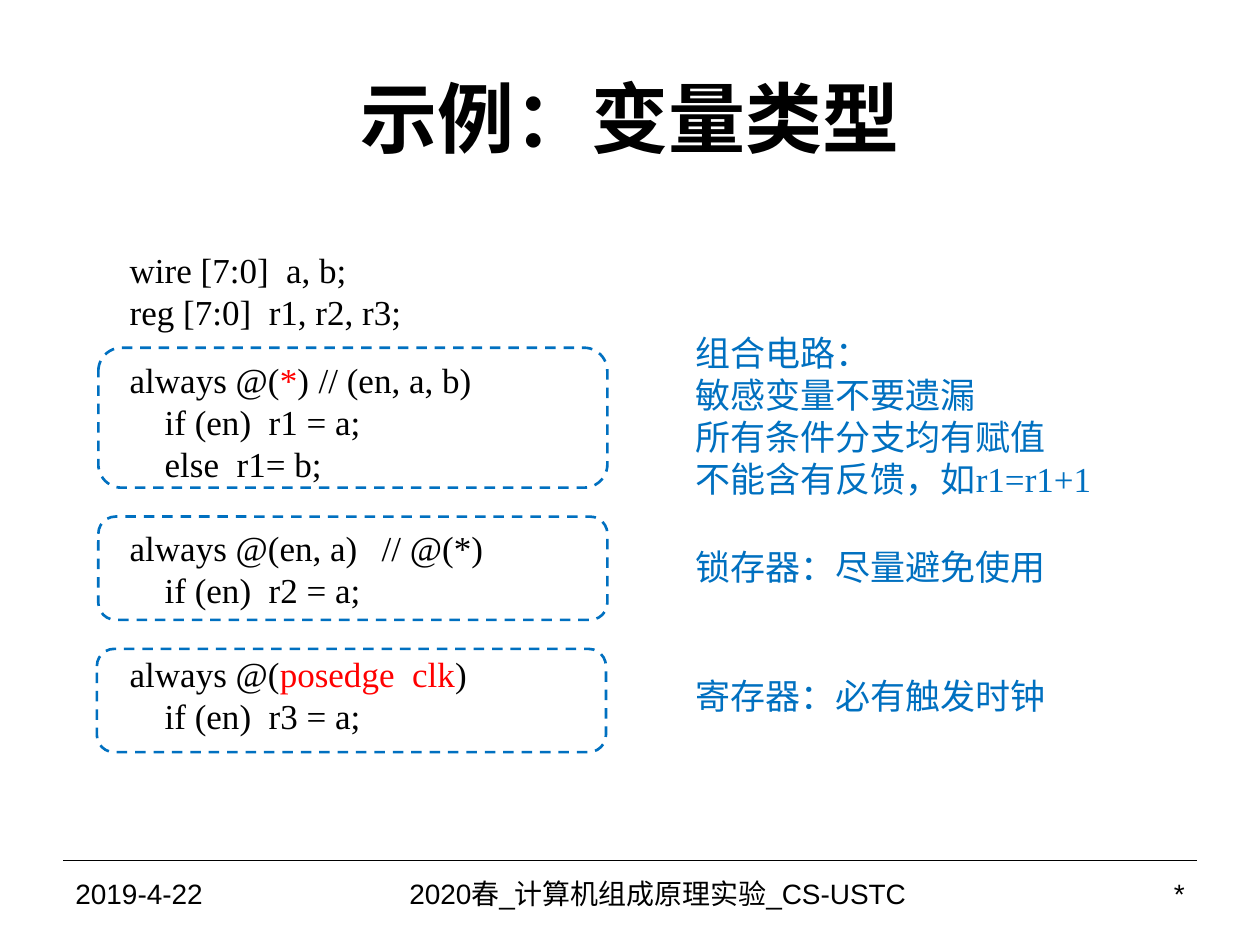
from dataclasses import dataclass

from lxml import etree
from pptx import Presentation
from pptx.dml.color import RGBColor
from pptx.enum import dml, shapes, text
from pptx.oxml.ns import qn
from pptx.util import Pt

BLACK, RED, BLUE = "000000", "FF0000", "0070C0"
SERIF, SANS = "Times New Roman", "Arial"
LEFT, CENTER, RIGHT = text.PP_ALIGN.LEFT, text.PP_ALIGN.CENTER, text.PP_ALIGN.RIGHT
TOP, MIDDLE = text.MSO_ANCHOR.TOP, text.MSO_ANCHOR.MIDDLE


@dataclass(frozen=True)
class Area:
    left: float
    top: float
    width: float
    height: float

    def lengths(self) -> tuple:
        return tuple(Pt(v) for v in (self.left, self.top, self.width, self.height))


@dataclass(frozen=True)
class Line:
    """One line of text; the pieces alternate between base colour and red."""
    pieces: tuple[str, ...]
    indent: float = 0
    before: float = 0


@dataclass(frozen=True)
class Note:
    area: Area
    lines: tuple[str, ...]


@dataclass(frozen=True)
class FooterItem:
    left: float
    width: float
    label: str
    align: text.PP_ALIGN


FRAMES = (
    Area(56.2, 198.7, 290.9, 80),
    Area(56.2, 295.2, 290.9, 59),
    Area(55.4, 370.8, 290.9, 59),
)
CODE_AREA = Area(67, 138.2, 303.1, 292.3)
CODE = (
    Line(("wire [7:0]  a, b;",)),
    Line(("reg [7:0]  r1, r2, r3;",)),
    Line(("always @(", "*", ")\t// (en, a, b)"), before=15),
    Line(("if (en)  r1 = a;",), indent=20),
    Line(("else  r1= b;",), indent=20),
    Line(("always @(en, a) \t// @(*)",), before=24),
    Line(("if (en)  r2 = a;",), indent=20),
    Line(("always @(", "posedge  clk", ")"), before=24),
    Line(("if (en)  r3 = a;",), indent=20),
)
NOTES = (
    Note(Area(390.2, 185.8, 289.4, 118.8),
         ("组合电路：", "敏感变量不要遗漏", "所有条件分支均有赋值", "不能含有反馈，如r1=r1+1")),
    Note(Area(390.2, 308.2, 262.8, 37.4), ("锁存器：尽量避免使用",)),
    Note(Area(390.2, 381.6, 262.8, 37.4), ("寄存器：必有触发时钟",)),
)
FOOTER_TOP, FOOTER_HEIGHT = 491.8, 37.4
FOOTER = (
    FooterItem(36, 168, "2019-4-22", LEFT),
    FooterItem(204, 348, "2020春_计算机组成原理实验_CS-USTC ", CENTER),
    FooterItem(552, 132, "*", RIGHT),
)


def rgb(value: str) -> RGBColor:
    return RGBColor.from_string(value)


def write(box, lines, *, size=20, font=SERIF, color=BLACK, bold=False,
          align=LEFT, anchor=TOP, spacing=None) -> None:
    frame = box.text_frame
    frame.word_wrap = True
    frame.vertical_anchor = anchor
    for index, line in enumerate(lines):
        para = frame.add_paragraph() if index else frame.paragraphs[0]
        para.alignment = align
        para.space_before = Pt(line.before)
        if spacing:
            para.line_spacing = Pt(spacing)
        if line.indent:
            para._p.get_or_add_pPr().set("marL", str(Pt(line.indent)))
        for number, piece in enumerate(line.pieces):
            span = para.add_run()
            span.text = piece
            span.font.size = Pt(size)
            span.font.name = font
            span.font.bold = bold
            span.font.color.rgb = rgb(RED if number % 2 else color)


def add_text(page, area: Area, lines, **style) -> None:
    write(page.shapes.add_textbox(*area.lengths()), lines, **style)


def add_frame(page, area: Area) -> None:
    """Draw a dashed rounded outline around a block of code."""
    frame = page.shapes.add_shape(shapes.MSO_SHAPE.ROUNDED_RECTANGLE, *area.lengths())
    frame.shadow.inherit = False
    frame.fill.background()
    frame.line.color.rgb = rgb(BLUE)
    frame.line.width = Pt(1.5)
    frame.line.dash_style = dml.MSO_LINE.DASH


def add_footer(page) -> None:
    rule = page.shapes.add_connector(
        shapes.MSO_CONNECTOR.STRAIGHT, Pt(36), Pt(FOOTER_TOP), Pt(684), Pt(FOOTER_TOP))
    rule.line.color.rgb = rgb(BLACK)
    rule.line.width = Pt(0.75)
    etree.SubElement(rule._element.spPr, qn("a:effectLst"))
    for item in FOOTER:
        area = Area(item.left, FOOTER_TOP, item.width, FOOTER_HEIGHT)
        add_text(page, area, [Line((item.label,))], size=16, font=SANS,
                 align=item.align, anchor=MIDDLE)


def main() -> None:
    deck = Presentation()
    deck.slide_width, deck.slide_height = Pt(720), Pt(540)
    page = deck.slides.add_slide(deck.slide_layouts.get_by_name("Title Only"))

    title = page.shapes.title
    title.left, title.top, title.width, title.height = Area(36, 21.6, 648, 90).lengths()
    write(title, [Line(("示例：变量类型",))], size=44, font=SANS, bold=True,
          align=CENTER, anchor=MIDDLE)

    add_text(page, CODE_AREA, CODE, spacing=24)
    for area in FRAMES:
        add_frame(page, area)
    for note in NOTES:
        add_text(page, note.area, [Line((label,)) for label in note.lines],
                 color=BLUE, spacing=24)
    add_footer(page)
    deck.save("out.pptx")


if __name__ == "__main__":
    main()
